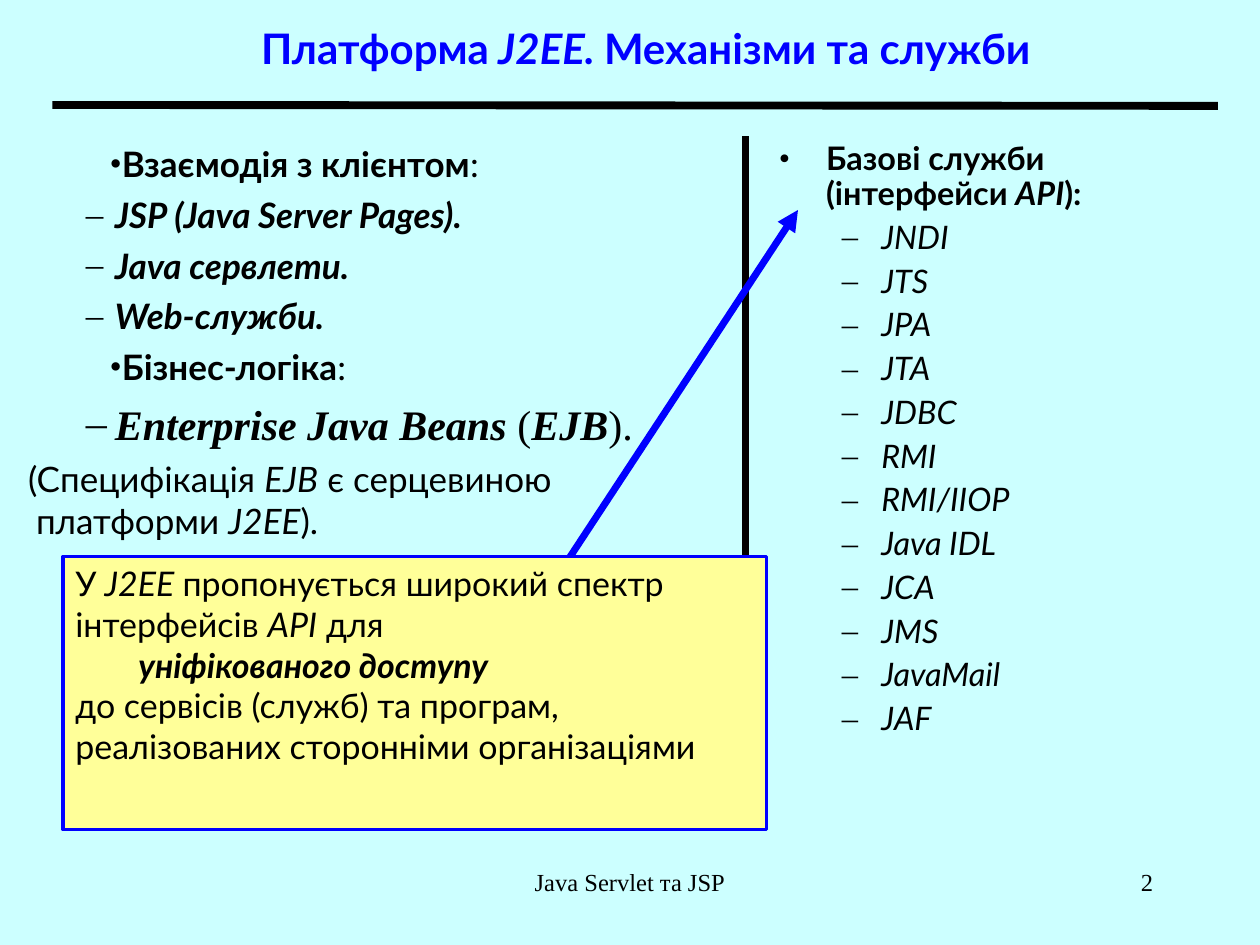
from collections import namedtuple

from lxml import etree
from pptx import Presentation
from pptx.dml.color import RGBColor
from pptx.enum import shapes, text
from pptx.oxml import ns
from pptx.util import Pt

Box = namedtuple("Box", "left top width height")

BLACK = RGBColor(0x00, 0x00, 0x00)
BLUE = RGBColor(0x00, 0x00, 0xFF)
YELLOW = RGBColor(0xFF, 0xFF, 0x99)
CYAN = RGBColor(0xCC, 0xFF, 0xFF)
SANS = "Lato"
SERIF = "Times New Roman"

BULLET = ("•", 62.5, -7)
DASH = ("–", 58.5, -16.5)
SERVICE_BULLET = ("•", 27, -27)
SERVICE_DASH = ("–", 58.5, -22.5)
HANGING = (None, 13.5, -4.5)

CLIENT_LINES = ["JSP (Java Server Pages).", "Java сервлети.", "Web-служби."]
SERVICES = ["JNDI", "JTS", "JPA", "JTA", "JDBC", "RMI", "RMI/IIOP",
            "Java IDL", "JCA", "JMS", "JavaMail", "JAF"]


def add_frame(page, box):
    shape = page.shapes.add_textbox(*map(Pt, box))
    shape.text_frame.word_wrap = True
    return shape.text_frame


def set_list_style(para, style):
    mark, margin, indent = style
    properties = para._p.get_or_add_pPr()
    properties.set("marL", str(Pt(margin)))
    properties.set("indent", str(Pt(indent)))
    if mark:
        etree.SubElement(properties, ns.qn("a:buFont"), typeface=SERIF)
        etree.SubElement(properties, ns.qn("a:buChar"), char=mark)


def fill_para(para, spans, size, name=SANS, color=BLACK,
              before=0, spacing=None, style=None, align=text.PP_ALIGN.LEFT):
    para.alignment = align
    para.space_before = Pt(before)
    if spacing:
        para.line_spacing = spacing
    if style:
        set_list_style(para, style)
    for words, look in spans:
        for number, line in enumerate(words.split("\n")):
            if number:
                para.add_line_break()
            if line:
                span = para.add_run()
                span.text = line
                span.font.bold = "b" in look
                span.font.italic = "i" in look
    for font in [para.font] + [span.font for span in para.runs]:
        font.name = name
        font.size = Pt(size)
        font.color.rgb = color


def fill_list(frame, items, **common):
    for number, (spans, options) in enumerate(items):
        para = frame.add_paragraph() if number else frame.paragraphs[0]
        fill_para(para, spans, **{**common, **options})


def add_line(page, start, end, color, width, arrow=False):
    line = page.shapes.add_connector(
        shapes.MSO_CONNECTOR.STRAIGHT, *map(Pt, start + end))
    line.line.color.rgb = color
    line.line.width = Pt(width)
    if arrow:
        etree.SubElement(line.line._get_or_add_ln(), ns.qn("a:tailEnd"), type="triangle")
    etree.SubElement(line._element.spPr, ns.qn("a:effectLst"))


def add_title(page, box):
    frame = add_frame(page, box)
    frame.vertical_anchor = text.MSO_ANCHOR.MIDDLE
    spans = [("Платформа", "b"), (" J2EE. ", "bi"), ("Механізми та служби", "b")]
    fill_para(frame.paragraphs[0], spans, 24, color=BLUE, align=text.PP_ALIGN.CENTER)


def add_mechanisms(page, box):
    items = [([("Взаємодія з клієнтом", "b"), (":", "")], {"style": BULLET})]
    items += [([(line, "bi")], {"style": DASH}) for line in CLIENT_LINES]
    items += [
        ([("Бізнес-логіка", "b"), (":", "")], {"style": BULLET}),
        ([("Enterprise Java Beans", "bi"), (" (", ""), ("EJB", "bi"), (").", "")],
         {"style": DASH, "size": 24, "name": SERIF, "before": 6}),
        ([("(Специфікація ", ""), ("EJB", "i"), (" є серцевиною\nплатформи ", ""),
          ("J2EE", "i"), (").", "")], {"style": HANGING}),
    ]
    fill_list(add_frame(page, box), items, size=20, before=5)


def add_services(page, box):
    heading = [("Базові служби (інтерфейси ", "b"), ("API", "bi"), ("):", "b")]
    items = [(heading, {"style": SERVICE_BULLET})]
    items += [([(service, "i")], {"style": SERVICE_DASH}) for service in SERVICES]
    fill_list(add_frame(page, box), items, size=18.5, before=5, spacing=0.9)


def add_rules(page, box):
    right, bottom = box.left + box.width, box.top + box.height
    divider = box.left + 396
    add_line(page, (box.left, box.top), (right, box.top + 0.5), BLACK, 4.5)
    add_line(page, (divider, box.top + 18), (divider, bottom), BLACK, 4)
    add_line(page, (box.left + 288, bottom - 144), (box.left + 426, box.top + 60),
             BLUE, 4, arrow=True)


def add_note(page, box):
    note = page.shapes.add_shape(shapes.MSO_SHAPE.RECTANGLE, *map(Pt, box))
    note.shadow.inherit = False
    note.fill.solid()
    note.fill.fore_color.rgb = YELLOW
    note.line.color.rgb = BLUE
    note.line.width = Pt(2)
    frame = note.text_frame
    frame.word_wrap = True
    frame.vertical_anchor = text.MSO_ANCHOR.TOP
    spans = [
        ("У", ""), (" J2EE ", "i"),
        ("пропонується широкий спектр інтерфейсів ", ""), ("API", "i"),
        (" для\n\t", ""), ("уніфікованого доступу\n", "bi"),
        ("до сервісів (служб) та програм, реалізованих сторонніми організаціями", ""),
    ]
    fill_para(frame.paragraphs[0], spans, 19.4, before=5.2, spacing=1.0)


def add_footer(page, box):
    caption = Box(box.left, box.top, 228, box.height)
    number = Box(box.left + box.width - 150, box.top, 150, box.height)
    for part, words, align in [(caption, "Java Servlet та JSP", text.PP_ALIGN.CENTER),
                               (number, "2", text.PP_ALIGN.RIGHT)]:
        para = add_frame(page, part).paragraphs[0]
        fill_para(para, [(words, "")], 14, name=SERIF, align=align)


def main():
    deck = Presentation()
    deck.slide_width, deck.slide_height = Pt(720), Pt(540)
    page = deck.slides.add_slide(deck.slide_layouts[6])
    page.background.fill.solid()
    page.background.fill.fore_color.rgb = CYAN
    add_mechanisms(page, Box(0, 78, 408, 402))
    add_services(page, Box(438, 78, 268.5, 384))
    add_title(page, Box(72, 0, 594, 54))
    add_rules(page, Box(30, 60, 666, 414))
    add_note(page, Box(36, 318, 402, 156))
    add_footer(page, Box(246, 492, 420, 36))
    deck.save("out.pptx")


if __name__ == "__main__":
    main()
